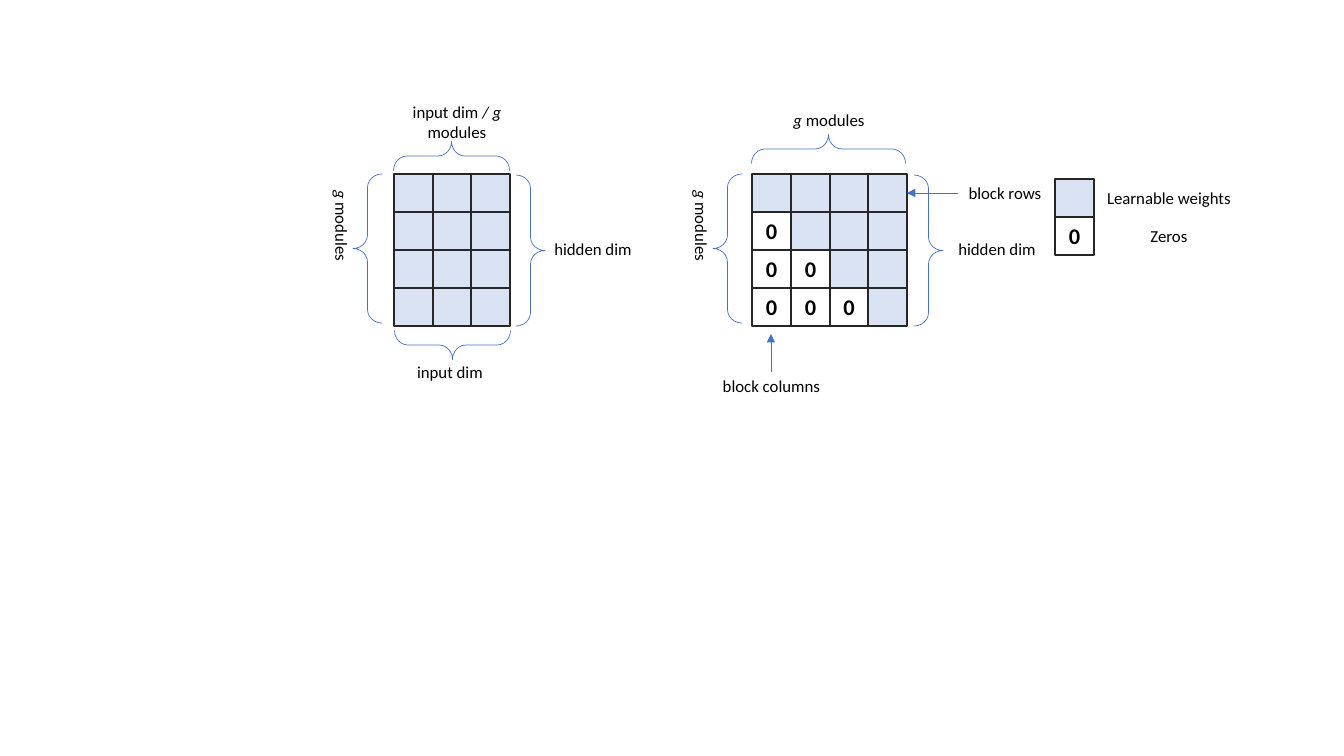
from lxml import etree
from pptx import Presentation
from pptx.dml.color import RGBColor
from pptx.enum.shapes import MSO_CONNECTOR, MSO_SHAPE
from pptx.enum.text import MSO_ANCHOR, PP_ALIGN
from pptx.oxml.ns import qn
from pptx.util import Pt

PX = 914400 / 100.8
STRAIGHT = MSO_CONNECTOR.STRAIGHT
RECTANGLE = MSO_SHAPE.RECTANGLE
LEFT_BRACE = MSO_SHAPE.LEFT_BRACE
MIDDLE = MSO_ANCHOR.MIDDLE
CENTER = PP_ALIGN.CENTER
RIGHT_SIDE = 3
FONT = "Calibri"
COLORS = {"weight": "DAE3F3", "border": "262626", "accent": "4472C4", "text": "000000"}
ROWS = 4
ROW_HEIGHT = 38
GRID_TOP = 174
G_MODULES = [("g ", True), ("modules", False)]


def px(*lengths):
    return [round(length * PX) for length in lengths]


def color(name):
    return RGBColor.from_string(COLORS[name])


def write(shape, spans, size, bold=False):
    """Fill a shape with centred spans, each a (text, italic) pair."""
    frame = shape.text_frame
    frame.word_wrap = True
    frame.vertical_anchor = MIDDLE
    frame.margin_left = frame.margin_right = frame.margin_top = frame.margin_bottom = 0
    para = frame.paragraphs[0]
    para.alignment = CENTER
    for text, italic in spans:
        span = para.add_run()
        span.text = text
        span.font.name = FONT
        span.font.size = Pt(size)
        span.font.bold = bold
        span.font.italic = italic
        span.font.color.rgb = color("text")


def add_outline(page, kind, place, line_color, line_width):
    shape = page.shapes.add_shape(kind, *px(*place))
    shape.shadow.inherit = False
    shape.fill.background()
    shape.line.color.rgb = color(line_color)
    shape.line.width = Pt(line_width)
    return shape


def add_cell(page, place, learnable):
    cell = add_outline(page, RECTANGLE, place, "border", 1.25)
    if learnable:
        cell.fill.solid()
        cell.fill.fore_color.rgb = color("weight")
    else:
        write(cell, [("0", False)], 16, bold=True)
    return cell


def add_grid(page, left, width, columns, is_learnable):
    """Draw the weight matrix and return its cells by (row, column)."""
    edges = [left + round(width * column / columns) for column in range(columns + 1)]
    cells = {}
    for row in range(ROWS):
        for column in range(columns):
            place = (edges[column], GRID_TOP + row * ROW_HEIGHT,
                     edges[column + 1] - edges[column], ROW_HEIGHT)
            cells[row, column] = add_cell(page, place, is_learnable(row, column))
    return cells


def add_brace(page, place, rotation=0):
    brace = add_outline(page, LEFT_BRACE, place, "accent", 0.5)
    brace.adjustments[0] = 0.465
    brace.adjustments[1] = 0.5
    brace.rotation = rotation


def add_label(page, place, spans, vertical=False):
    box = page.shapes.add_textbox(*px(*place))
    write(box, spans, 12)
    if vertical:
        box.text_frame._txBody.bodyPr.set("vert", "eaVert")


def add_arrow(page, tip, tail):
    arrow = page.shapes.add_connector(STRAIGHT, *px(*tip, *tail))
    arrow.line.color.rgb = color("accent")
    arrow.line.width = Pt(0.5)
    etree.SubElement(arrow.line._get_or_add_ln(), qn("a:headEnd"), type="triangle")
    etree.SubElement(arrow._element.spPr, qn("a:effectLst"))
    return arrow


def add_block_matrix(page):
    cells = add_grid(page, 752, 155, 4, lambda row, column: row <= column)
    add_label(page, (944, 174, 122, 38), [("block rows", False)])
    add_arrow(page, (907, 193), (958, 193)).begin_connect(cells[0, 3], RIGHT_SIDE)
    add_label(page, (703, 367, 137, 38), [("block columns", False)])
    add_arrow(page, (771, 334), (771, 372))
    add_brace(page, (713, 174, 29, 149))
    add_label(page, (681, 190, 42, 126), G_MODULES, vertical=True)
    add_brace(page, (814, 72, 29, 154), 90)
    add_label(page, (760, 97, 138, 45), G_MODULES)
    add_label(page, (936, 230, 122, 38), [("hidden dim", False)])
    add_brace(page, (914, 175, 29, 151), 180)


def add_input_matrix(page):
    add_grid(page, 394, 116, 3, lambda row, column: True)
    add_brace(page, (353, 174, 29, 149))
    add_label(page, (321, 190, 42, 126), G_MODULES, vertical=True)
    add_brace(page, (516, 175, 29, 151), 180)
    add_label(page, (532, 230, 122, 38), [("hidden dim", False)])
    add_brace(page, (438, 287, 29, 116), 270)
    add_label(page, (389, 353, 122, 38), [("input dim", False)])
    add_brace(page, (437, 98, 29, 116), 90)
    add_label(page, (402, 99, 110, 45),
              [("input dim ", False), ("/ g ", True), ("modules", False)])


def add_legend(page):
    for row, (text, learnable) in enumerate([("Learnable weights", True), ("Zeros", False)]):
        top = 179 + row * ROW_HEIGHT
        add_cell(page, (1055, top, 39, ROW_HEIGHT), learnable)
        add_label(page, (1094, top, 150, ROW_HEIGHT), [(text, False)])


def main():
    deck = Presentation()
    deck.slide_width, deck.slide_height = px(1344, 756)
    page = deck.slides.add_slide(deck.slide_layouts[6])
    add_block_matrix(page)
    add_input_matrix(page)
    add_legend(page)
    deck.save("out.pptx")


if __name__ == "__main__":
    main()
